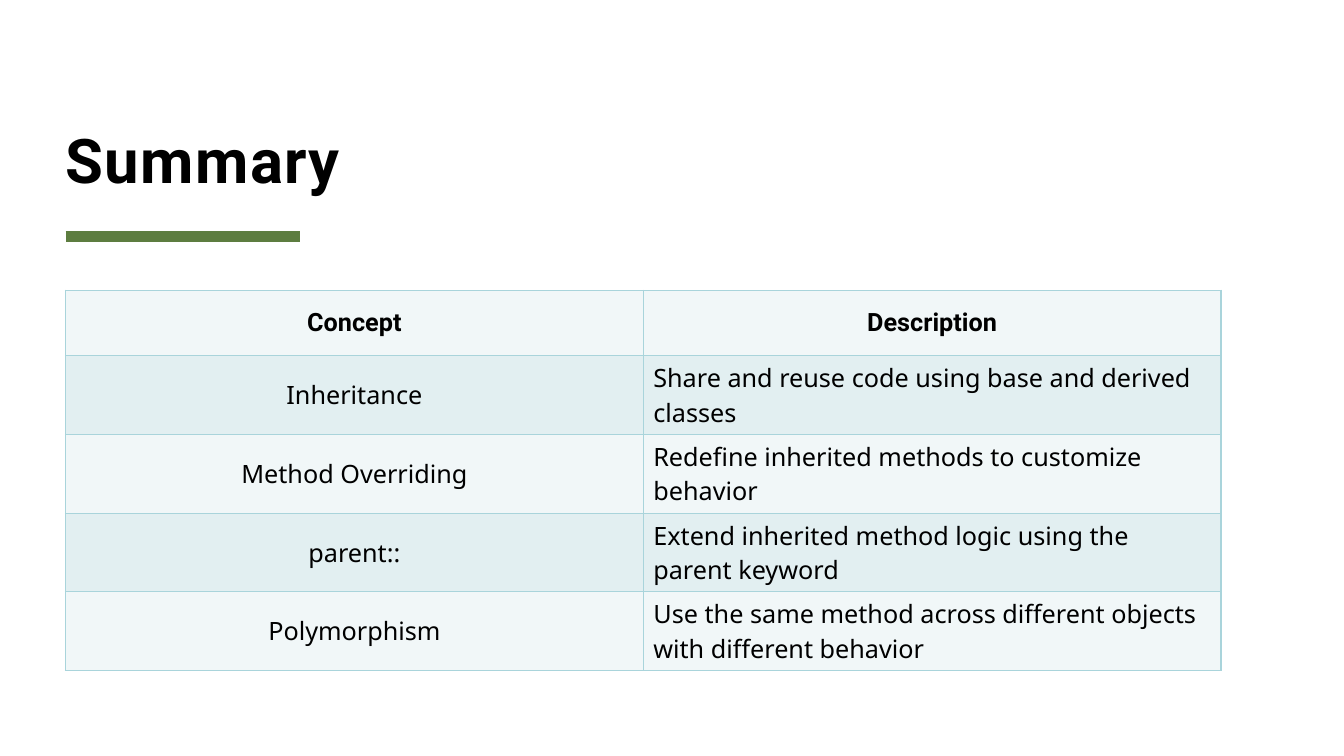
import pptx
import pptx.util
import pptx.dml.color
import pptx.enum.shapes
import pptx.enum.text
import pptx.oxml.ns
from lxml import etree

PX = 9144  # EMU per px, 100 px to the inch
LEFT = 65
BLACK, GREEN, BORDER = "000000", "5D7D40", "A9D4DB"
BANDS = ("F1F7F8", "E2EFF1")
ALIGN = pptx.enum.text.PP_ALIGN
ANCHOR = pptx.enum.text.MSO_ANCHOR

ROWS = [
    ("Concept", "Description"),
    ("Inheritance", "Share and reuse code using base and derived classes"),
    ("Method Overriding", "Redefine inherited methods to customize behavior"),
    ("parent::", "Extend inherited method logic using the parent keyword"),
    ("Polymorphism", "Use the same method across different objects with different behavior"),
]


def px(n):
    return pptx.util.Emu(n * PX)


def rgb(value):
    return pptx.dml.color.RGBColor.from_string(value)


def set_attrs(obj, values):
    for name, value in values.items():
        setattr(obj, name, value)


def write(tf, text, align, font, size, bold):
    p = tf.paragraphs[0]
    p.alignment = align
    r = p.add_run()
    r.text = text
    set_attrs(r.font, {"name": font, "size": pptx.util.Pt(size), "bold": bold})
    r.font.color.rgb = rgb(BLACK)
    return p, r


def add_title(slide, text):
    sp = slide.shapes.title
    set_attrs(sp, {"left": px(LEFT), "top": px(64), "width": px(1200), "height": px(130)})
    tf = sp.text_frame
    set_attrs(tf, {
        "margin_left": 0, "margin_right": 0, "margin_top": 0, "margin_bottom": 0,
        "word_wrap": True, "vertical_anchor": ANCHOR.BOTTOM,
        "auto_size": pptx.enum.text.MSO_AUTO_SIZE.NONE,
    })
    p, r = write(tf, text, ALIGN.LEFT, "Roboto", 44, True)
    p.line_spacing = 0.8
    r.font._element.set("spc", "100")


def add_rule(slide, x1, x2, y):
    line = slide.shapes.add_connector(
        pptx.enum.shapes.MSO_CONNECTOR.STRAIGHT, px(x1), px(y), px(x2), px(y))
    line.line.color.rgb = rgb(GREEN)
    line.line.width = pptx.util.Pt(8)
    etree.SubElement(line._element.spPr, pptx.oxml.ns.qn("a:effectLst"))


def add_borders(cell):
    qn = pptx.oxml.ns.qn
    tcPr = cell._tc.get_or_add_tcPr()
    for side in "LRTB":
        ln = etree.SubElement(tcPr, qn("a:ln" + side), w=str(pptx.util.Pt(1)))
        fill = etree.SubElement(ln, qn("a:solidFill"))
        etree.SubElement(fill, qn("a:srgbClr"), val=BORDER)


def add_table(slide, rows, x, y, width, row_height):
    shape = slide.shapes.add_table(
        len(rows), len(rows[0]), px(x), px(y), px(width), px(row_height * len(rows)))
    table = shape.table
    for i, row in enumerate(rows):
        table.rows[i].height = px(row_height)
        header = i == 0
        for j, text in enumerate(row):
            cell = table.cell(i, j)
            cell.vertical_anchor = ANCHOR.MIDDLE
            # Borders come before the fill in the cell properties
            add_borders(cell)
            cell.fill.solid()
            cell.fill.fore_color.rgb = rgb(BANDS[i % 2])
            align = ALIGN.CENTER if header or j == 0 else ALIGN.LEFT
            font = "Roboto" if header else "Noto Sans"
            write(cell.text_frame, text, align, font, 18, header)


def main():
    prs = pptx.Presentation()
    set_attrs(prs, {"slide_width": px(1333), "slide_height": px(750)})
    slide = prs.slides.add_slide(prs.slide_layouts[5])

    # Heading with its green rule
    add_rule(slide, LEFT, 298, 235)
    add_title(slide, "Summary")

    # Concepts and their descriptions
    add_table(slide, ROWS, LEFT, 288, 1146, 65)

    prs.save("out.pptx")


if __name__ == "__main__":
    main()
